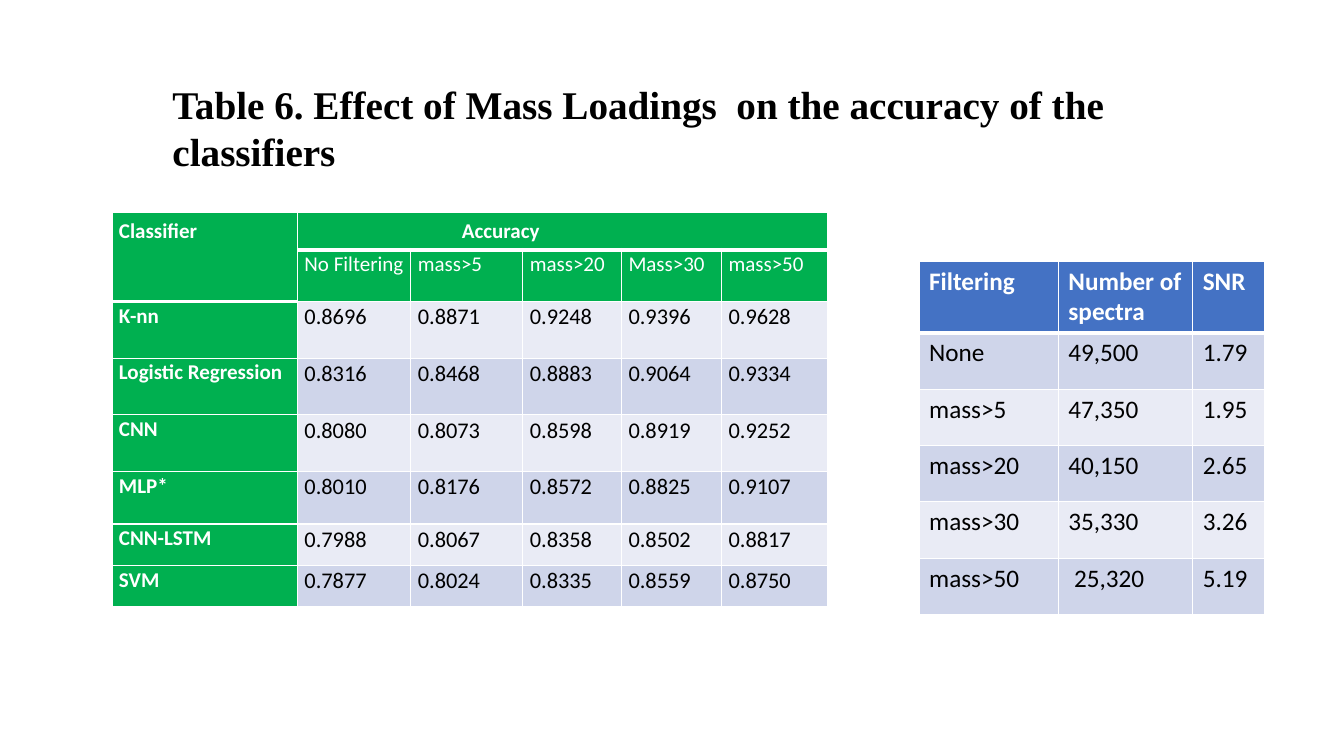
from pptx import Presentation
from pptx.dml.color import RGBColor
from pptx.enum.text import MSO_ANCHOR, PP_ALIGN
from pptx.oxml import parse_xml
from pptx.oxml.ns import nsdecls
from pptx.util import Pt

WHITE, BLACK, GREEN, BLUE = "FFFFFF", "000000", "00B050", "4472C4"
LIGHT, DARK = "E9EBF5", "CFD5EA"


def write(tf, text, size=18, color=BLACK, bold=False, font="Calibri",
          align=PP_ALIGN.LEFT, spacing=1.0, indent=0):
    p = tf.paragraphs[0]
    p.alignment = align
    p.line_spacing = spacing
    if indent:
        p._p.get_or_add_pPr().set("marL", str(Pt(indent)))
    r = p.add_run()
    r.text = text
    r.font.size = Pt(size)
    r.font.name = font
    r.font.bold = bold
    r.font.color.rgb = RGBColor.from_string(color)


def style_cell(cell, fill, bottom=1):
    cell.fill.solid()
    cell.fill.fore_color.rgb = RGBColor.from_string(fill)
    widths = {"lnL": 1, "lnR": 1, "lnT": 1, "lnB": bottom}
    for i, (side, width) in enumerate(widths.items()):
        cell._tc.tcPr.insert(i, parse_xml(
            f'<a:{side} {nsdecls("a")} w="{Pt(width)}"><a:solidFill>'
            f'<a:srgbClr val="{WHITE}"/></a:solidFill></a:{side}>'))


prs = Presentation()
prs.slide_width, prs.slide_height = Pt(960), Pt(540)
s = prs.slides.add_slide(prs.slide_layouts[5])

# Title
title = s.shapes.title
title.left, title.top, title.width, title.height = Pt(116), Pt(54), Pt(794), Pt(75)
title.text_frame.word_wrap = True
title.text_frame.vertical_anchor = MSO_ANCHOR.TOP
write(title.text_frame, "Table 6. Effect of Mass Loadings  on the accuracy of the classifiers",
      size=28, bold=True, font="Times New Roman")

# Accuracy table
accuracy = [
    ["Classifier", "Accuracy", "", "", "", ""],
    ["", "No Filtering", "mass>5", "mass>20", "Mass>30", "mass>50"],
    ["K-nn", "0.8696", "0.8871", "0.9248", "0.9396", "0.9628"],
    ["Logistic Regression", "0.8316", "0.8468", "0.8883", "0.9064", "0.9334"],
    ["CNN", "0.8080", "0.8073", "0.8598", "0.8919", "0.9252"],
    ["MLP*", "0.8010", "0.8176", "0.8572", "0.8825", "0.9107"],
    ["CNN-LSTM", "0.7988", "0.8067", "0.8358", "0.8502", "0.8817"],
    ["SVM", "0.7877", "0.8024", "0.8335", "0.8559", "0.8750"],
]
accuracy_cols = [132.5, 81, 80, 70.5, 71.5, 75.5]
accuracy_rows = [25.5, 37, 40.5, 40.5, 40.5, 37.5, 29.5, 29.5]

# Signal-to-noise table
snr = [
    ["Filtering", "Number of spectra", "SNR"],
    ["None", "49,500", "1.79"],
    ["mass>5", "47,350", "1.95"],
    ["mass>20", "40,150", "2.65"],
    ["mass>30", "35,330", "3.26"],
    ["mass>50", " 25,320", "5.19"],
]
snr_cols = [99.5, 96, 51]
snr_rows = [49] + [40.3] * 5

tables = []
for data, left, top, cols, rows in [
        (accuracy, 80, 151.5, accuracy_cols, accuracy_rows),
        (snr, 656.5, 186.5, snr_cols, snr_rows)]:
    table = s.shapes.add_table(len(rows), len(cols), Pt(left), Pt(top),
                               Pt(sum(cols)), Pt(sum(rows))).table
    for i, width in enumerate(cols):
        table.columns[i].width = Pt(width)
    for i, height in enumerate(rows):
        table.rows[i].height = Pt(height)
    tables.append(table)
accuracy_table, snr_table = tables

# Accuracy cells: green header rows and first column, banded values
accuracy_table.cell(0, 0).merge(accuracy_table.cell(1, 0))
accuracy_table.cell(0, 1).merge(accuracy_table.cell(0, 5))
for i, row in enumerate(accuracy):
    for j, text in enumerate(row):
        cell = accuracy_table.cell(i, j)
        header = i < 2 or j == 0
        band = DARK if i % 2 else LIGHT
        style_cell(cell, GREEN if header else band,
                   bottom=3 if i == 0 or (i, j) == (1, 0) else 1)
        cell.margin_left = cell.margin_right = Pt(5)
        cell.margin_top = cell.margin_bottom = Pt(3.6 if i == 0 else 0)
        if text:
            write(cell.text_frame, text, size=15 if header else 16,
                  color=WHITE if header else BLACK, bold=i == 0 or j == 0,
                  align=PP_ALIGN.JUSTIFY, spacing=1.07,
                  indent=112.5 if text == "Accuracy" else 0)

# Signal-to-noise cells: blue header row, banded values
for i, row in enumerate(snr):
    for j, text in enumerate(row):
        cell = snr_table.cell(i, j)
        band = DARK if i % 2 else LIGHT
        style_cell(cell, BLUE if i == 0 else band, bottom=3 if i == 0 else 1)
        write(cell.text_frame, text, color=WHITE if i == 0 else BLACK, bold=i == 0)

prs.save("out.pptx")
